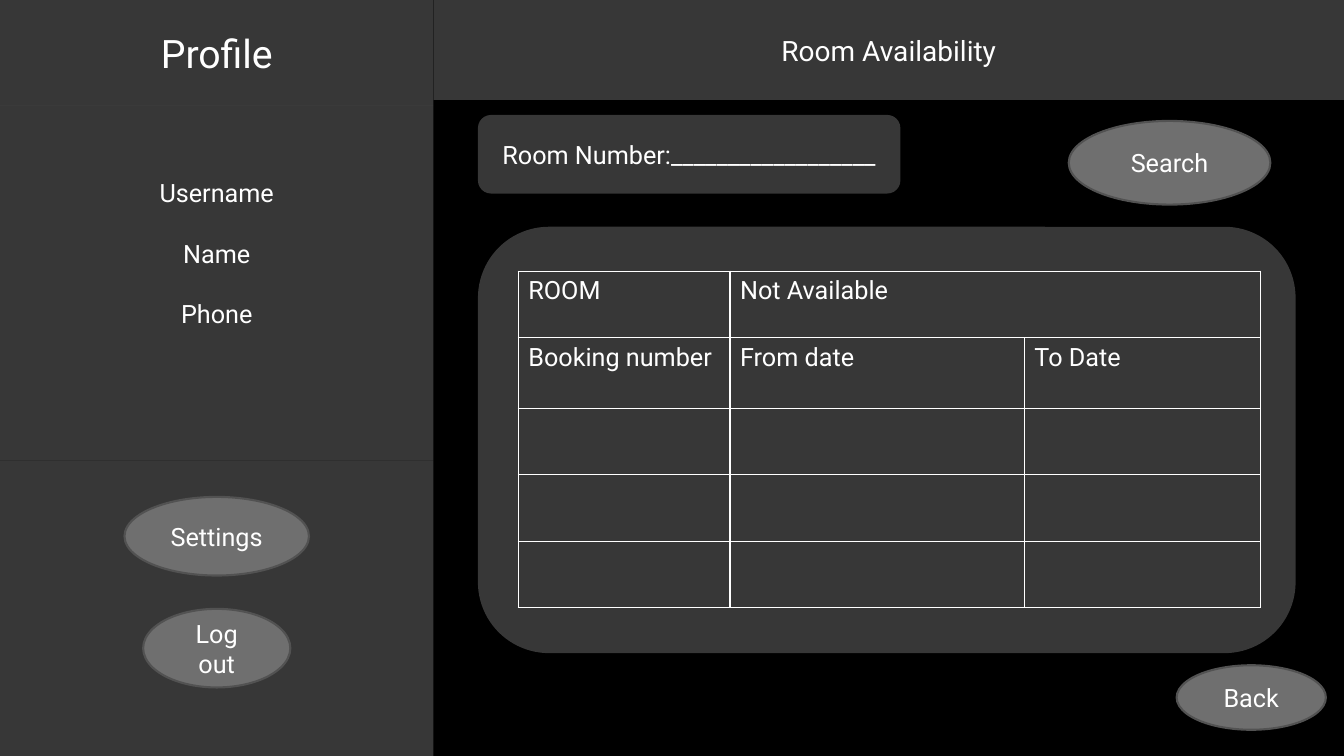
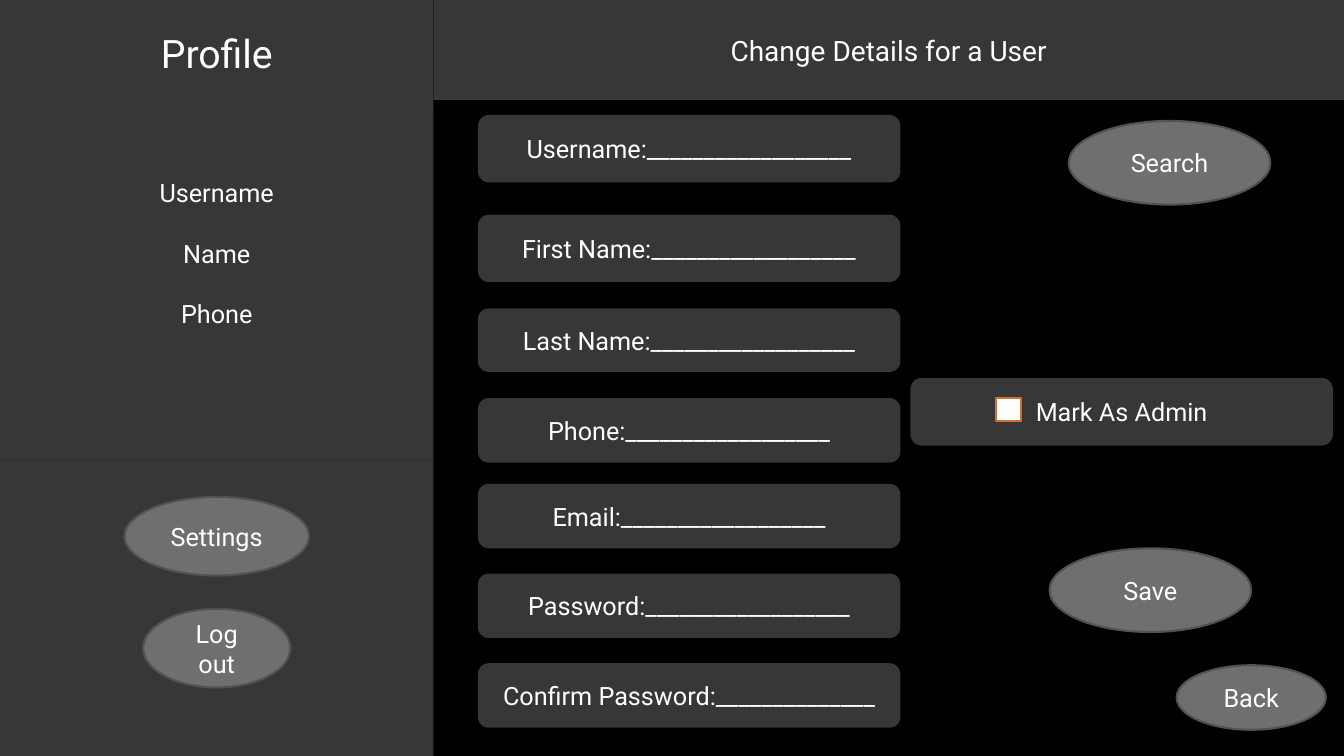
from lxml import etree
from pptx import Presentation
from pptx.dml.color import RGBColor
from pptx.enum.shapes import MSO_SHAPE
from pptx.enum.text import MSO_ANCHOR, MSO_AUTO_SIZE, PP_ALIGN
from pptx.oxml.ns import qn
from pptx.util import Inches, Pt

RECT, ROUND, OVAL = MSO_SHAPE.RECTANGLE, MSO_SHAPE.ROUNDED_RECTANGLE, MSO_SHAPE.OVAL
CENTER, LEFT = PP_ALIGN.CENTER, PP_ALIGN.LEFT
MIDDLE, NO_FIT = MSO_ANCHOR.MIDDLE, MSO_AUTO_SIZE.NONE

BLACK = RGBColor(0x00, 0x00, 0x00)
WHITE = RGBColor(0xFF, 0xFF, 0xFF)
GRAY = RGBColor(0x6F, 0x6F, 0x6F)
EDGE = RGBColor(0x52, 0x52, 0x52)
ORANGE = RGBColor(0xCF, 0x71, 0x33)

FONT = "Roboto"
TITLE_ONLY = 5
WIDTH, HEIGHT = 13.33, 7.5
SIDE_W = 4.3
FIELD_X, FIELD_W = 4.74, 4.19


def set_text(tf, text, size=18, color=WHITE, align=CENTER, gap=0):
    """Write one paragraph per line of text, gap points apart."""
    tf.word_wrap = True
    for i, line in enumerate(text.split("\n")):
        p = tf.add_paragraph() if i else tf.paragraphs[0]
        p.alignment = align
        p.space_before = Pt(gap if i else 0)
        r = p.add_run()
        r.text = line
        r.font.name, r.font.size = FONT, Pt(size)
        r.font.color.rgb = color


def set_fill(sp, color, alpha=None):
    """Fill a shape, with an optional opacity in percent."""
    sp.fill.solid()
    sp.fill.fore_color.rgb = color
    if alpha is not None:
        clr = sp._element.spPr.find(qn("a:solidFill"))[0]
        etree.SubElement(clr, qn("a:alpha"), val=str(alpha * 1000))


def add_box(s, kind, x, y, w, h, text="", fill=GRAY, alpha=None, line=None, **fmt):
    """Add a preset shape with optional centred text."""
    sp = s.shapes.add_shape(kind, Inches(x), Inches(y), Inches(w), Inches(h))
    sp.shadow.inherit = False
    set_fill(sp, fill, alpha)
    if line is None:
        sp.line.fill.background()
    else:
        sp.line.color.rgb = line
        sp.line.width = Pt(1.5)
    if text:
        sp.text_frame.vertical_anchor = MIDDLE
        set_text(sp.text_frame, text, **fmt)
    return sp


def add_panel(s, x, y, w, h, text="", kind=RECT, **fmt):
    """Add a half-transparent panel."""
    return add_box(s, kind, x, y, w, h, text, alpha=50, **fmt)


def add_button(s, x, y, w, h, text):
    """Add an oval button."""
    return add_box(s, OVAL, x, y, w, h, text, line=EDGE)


def add_field(s, x, y, h, label, blanks=18):
    """Add an input field with a line to write on."""
    add_panel(s, x, y, FIELD_W, h, f"{label}:{'_' * blanks}", kind=ROUND)


def add_sidebar(s, x, y, w):
    """Draw the profile column."""
    add_panel(s, x, y, w, 1.05, "Profile", size=28)
    sp = add_panel(s, x, y + 1.05, w, 3.52, "Username\nName\nPhone", gap=21.6)
    sp.text_frame.margin_bottom = Inches(0.65)
    add_panel(s, x, y + 4.57, w, 2.93)
    for top, bw, text in [(4.93, 1.83, "Settings"), (6.04, 1.46, "Log out")]:
        add_button(s, x + (w - bw) / 2, y + top, bw, 0.78, text)


def add_header(s, x, y, w, h, text):
    """Turn the title placeholder into the header band."""
    sp = s.shapes.title
    sp.left, sp.top, sp.width, sp.height = map(Inches, (x, y, w, h))
    set_fill(sp, GRAY, 50)
    sp.text_frame.auto_size = NO_FIT
    sp.text_frame.vertical_anchor = MIDDLE
    set_text(sp.text_frame, text, size=20)


def add_page(prs, title):
    """Add a slide with the parts every screen shares."""
    s = prs.slides.add_slide(prs.slide_layouts[TITLE_ONLY])
    add_header(s, SIDE_W, 0, WIDTH - SIDE_W, 0.99, title)
    add_sidebar(s, 0, 0, SIDE_W)
    add_button(s, 10.6, 1.2, 2, 0.83, "Search")
    add_button(s, 11.67, 6.6, 1.48, 0.64, "Back")
    return s


def set_borders(cell, color, width):
    """Draw all four borders of a cell."""
    tc_pr = cell._tc.get_or_add_tcPr()
    for side in ("lnL", "lnR", "lnT", "lnB"):
        ln = etree.SubElement(tc_pr, qn(f"a:{side}"), w=str(Pt(width)))
        fill = etree.SubElement(ln, qn("a:solidFill"))
        etree.SubElement(fill, qn("a:srgbClr"), val=str(color))


def add_bookings(s, x, y, w, h):
    """Draw the booking panel with its table."""
    add_panel(s, x, y, w, h, kind=ROUND)
    cols, rows = [2.1, 2.92, 2.34], [0.66, 0.7, 0.66, 0.66, 0.66]
    frame = s.shapes.add_table(len(rows), len(cols), Inches(x + 0.4), Inches(y + 0.44),
                               Inches(sum(cols)), Inches(sum(rows)))
    table = frame.table
    table.first_row = table.horz_banding = False
    for col, cw in zip(table.columns, cols):
        col.width = Inches(cw)
    for row, rh in zip(table.rows, rows):
        row.height = Inches(rh)
    for cell in table.iter_cells():
        set_borders(cell, WHITE, 1)
        cell.fill.background()
    table.cell(0, 1).merge(table.cell(0, 2))
    texts = [["ROOM", "Not Available"], ["Booking number", "From date", "To Date"]]
    for i, line in enumerate(texts):
        for j, text in enumerate(line):
            set_text(table.cell(i, j).text_frame, text, align=LEFT)


def add_admin_mark(s, x, y):
    """Draw the admin option with its check box."""
    add_panel(s, x, y, FIELD_W, 0.67, "Mark As Admin", kind=ROUND)
    add_box(s, RECT, x + 0.85, y + 0.2, 0.25, 0.23, fill=WHITE, line=ORANGE)


def build_availability(prs):
    """Build the room availability screen."""
    s = add_page(prs, "Room Availability")
    add_field(s, FIELD_X, 1.14, 0.78, "Room Number")
    add_bookings(s, FIELD_X, 2.25, 8.11, 4.23)


def build_user_details(prs):
    """Build the screen for changing a user."""
    s = add_page(prs, "Change Details for a User")
    fields = [(1.14, 0.67, "Username"), (2.13, 0.67, "First Name"),
              (3.06, 0.63, "Last Name"), (3.95, 0.64, "Phone"),
              (4.8, 0.64, "Email"), (5.69, 0.64, "Password")]
    for y, h, label in fields:
        add_field(s, FIELD_X, y, h, label)
    add_field(s, FIELD_X, 6.58, 0.64, "Confirm Password", blanks=14)
    add_admin_mark(s, 9.03, 3.75)
    add_button(s, 10.41, 5.44, 2, 0.83, "Save")


def main():
    """Build and save the presentation."""
    prs = Presentation()
    prs.slide_width, prs.slide_height = Inches(WIDTH), Inches(HEIGHT)
    bg = prs.slide_master.background.fill
    bg.solid()
    bg.fore_color.rgb = BLACK
    build_availability(prs)
    build_user_details(prs)
    prs.save("out.pptx")


if __name__ == "__main__":
    main()
